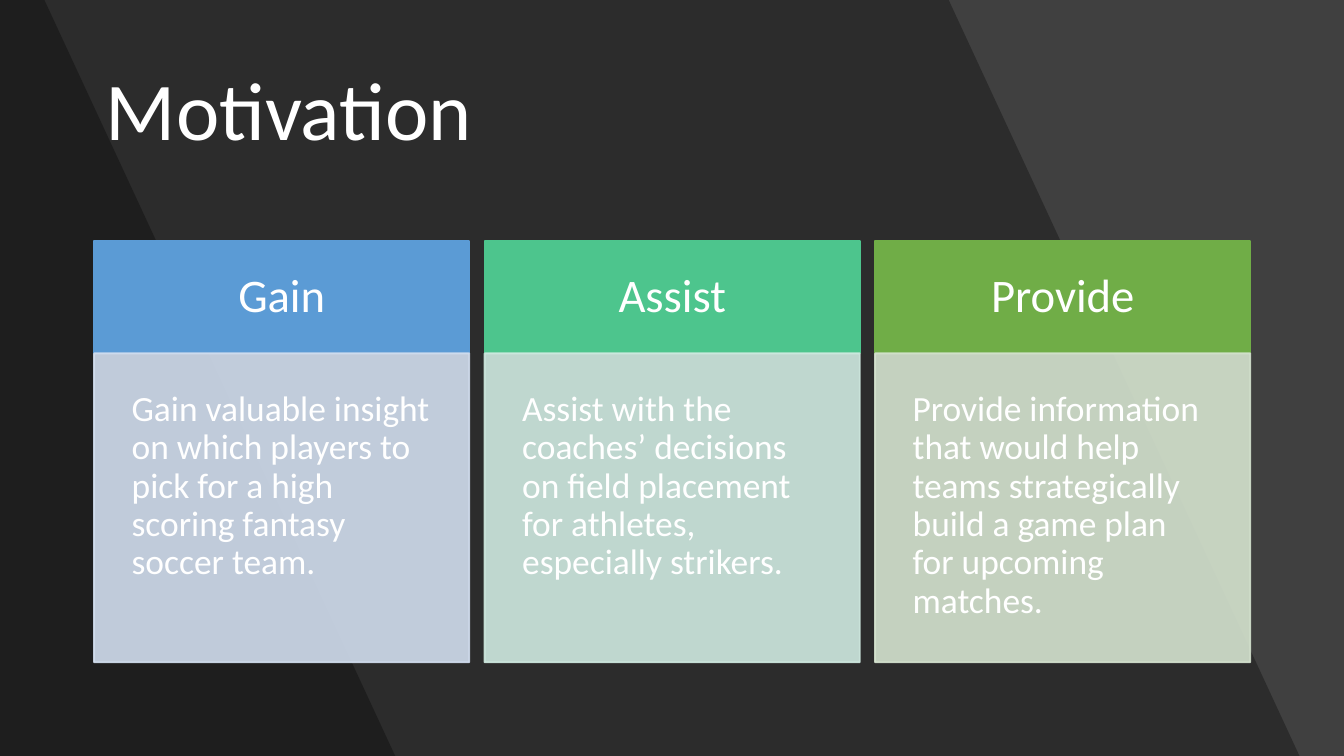
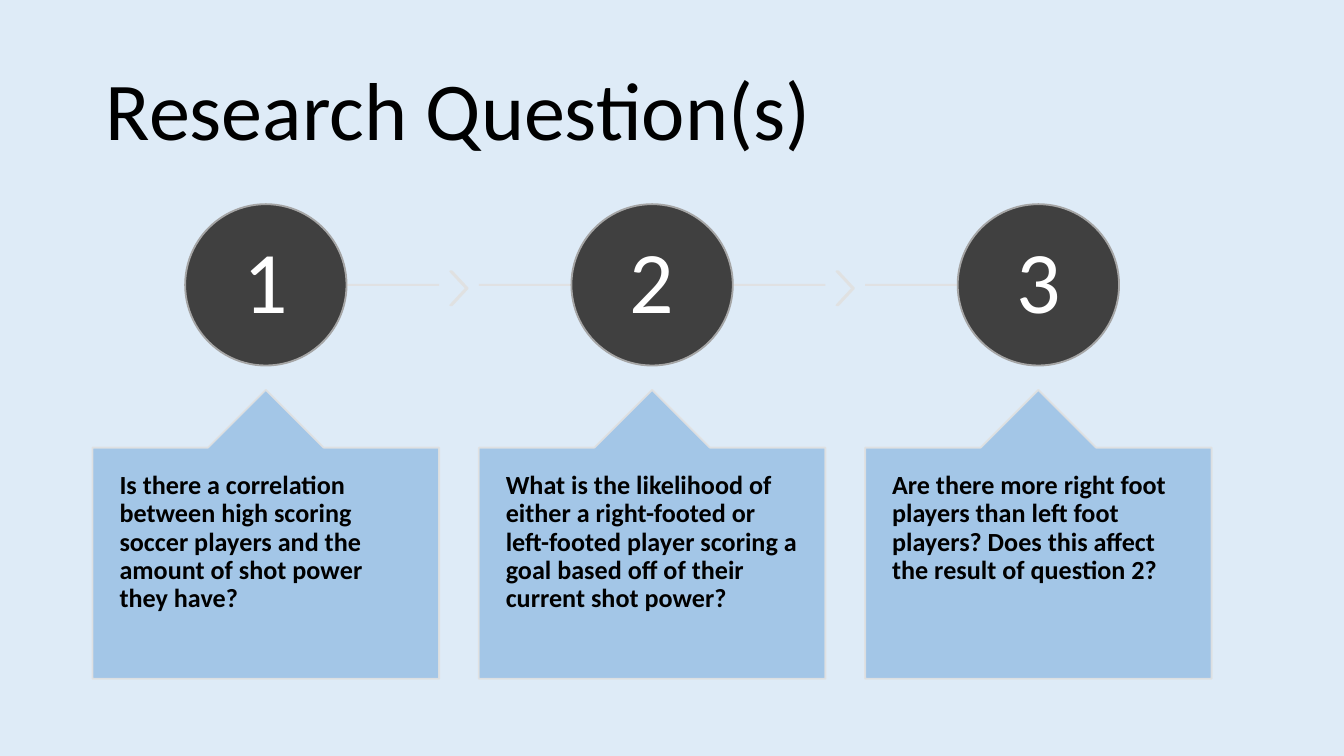
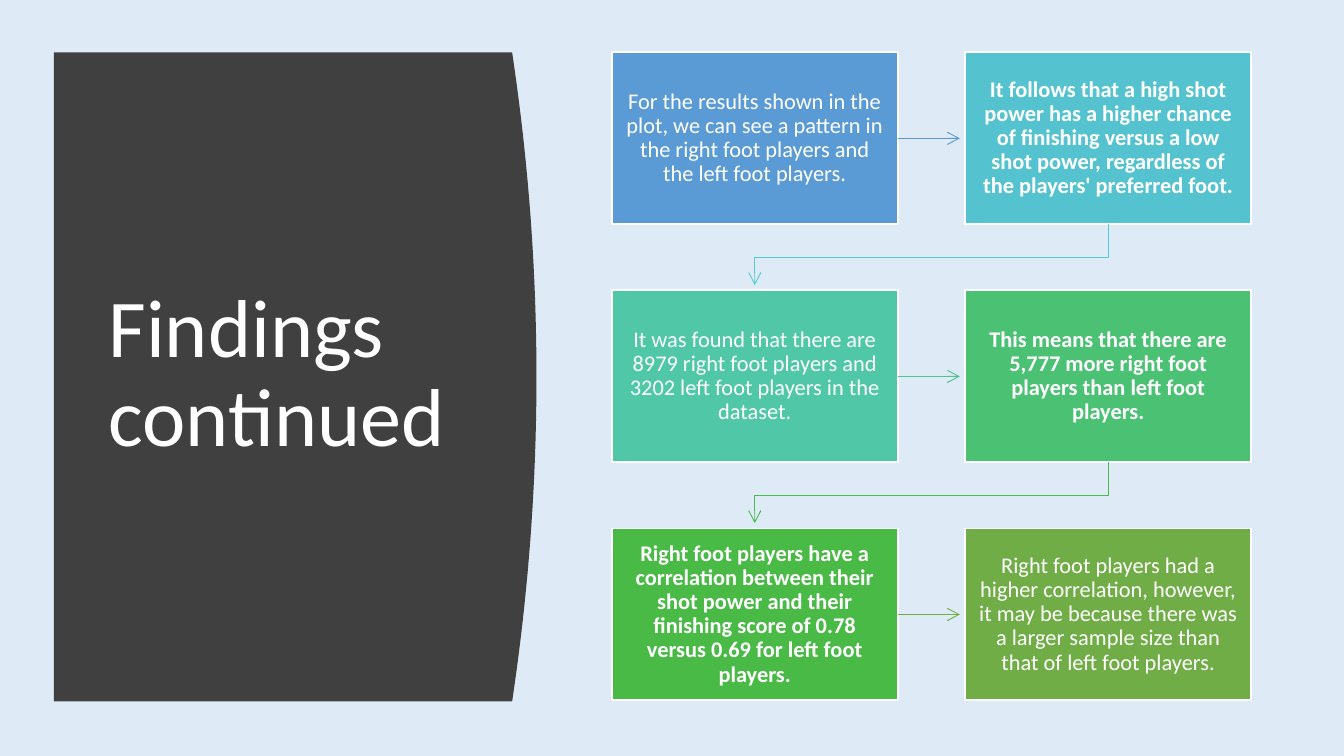
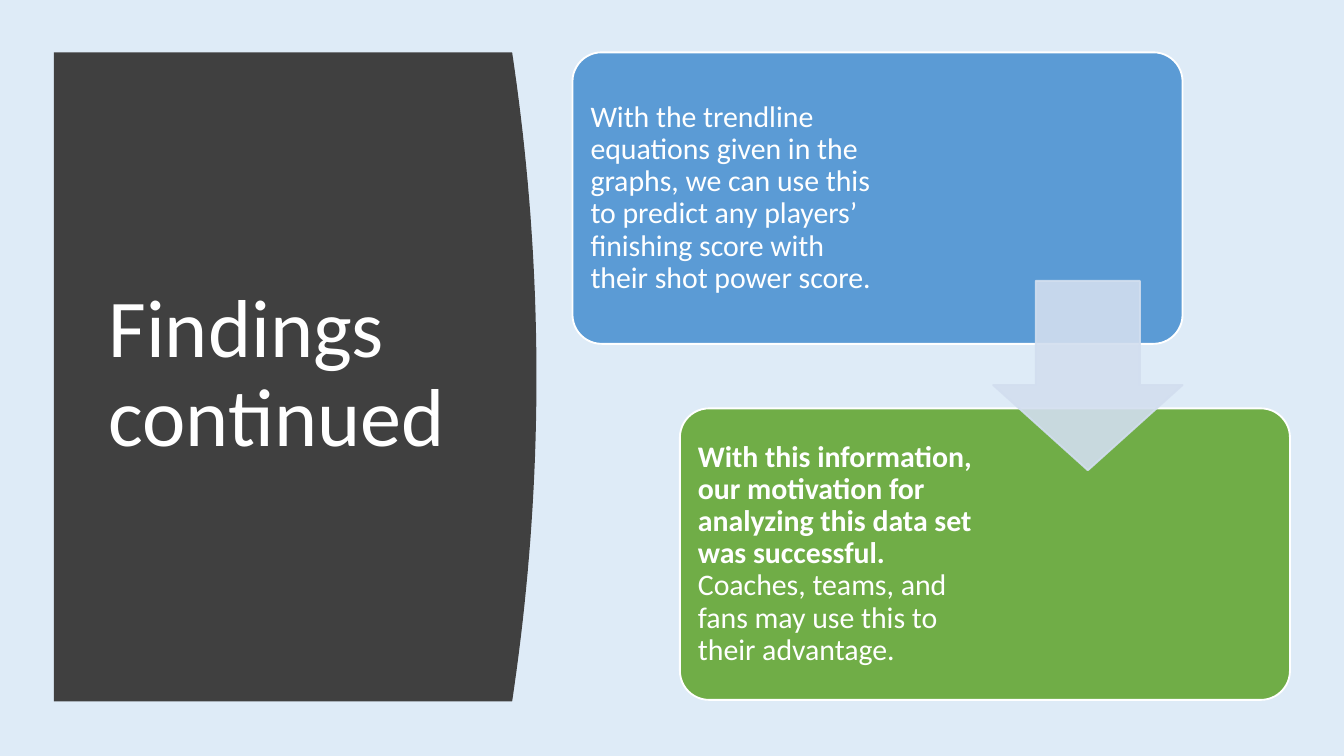
from dataclasses import dataclass

from lxml import etree
from pptx import Presentation
from pptx import util as u
from pptx.dml.color import RGBColor
from pptx.enum import shapes, text
from pptx.oxml.ns import qn

Cm, Pt = u.Cm, u.Pt
SHAPE = shapes.MSO_SHAPE
ANCHOR = text.MSO_ANCHOR
ALIGN = text.PP_ALIGN


@dataclass(frozen=True)
class Theme:
    font: str = "Calibri"
    white: str = "FFFFFF"
    black: str = "000000"
    dark: str = "404040"
    pale: str = "DEEBF7"
    blue: str = "5B9BD5"
    mint: str = "4DC58D"
    green: str = "70AD47"
    pale_blue: str = "D2DEEF"
    pale_mint: str = "D0EAE1"
    pale_green: str = "D5E3CF"
    callout: str = "9DC3E6"
    rule: str = "E1E1E1"
    circle_line: str = "A5A5A5"
    steps: tuple = ("5B9BD5", "55C3CF", "50C8A7", "4BC174", "4ABA46", "70AD47")
    arrows: tuple = ("5B9BD5", "54CCCD", "4DC58D", "48BB4F", "70AD47")
    title_size: float = 44
    number_size: float = 47
    header_size: float = 25
    card_size: float = 19
    box_size: float = 16
    question_size: float = 14
    step_size: float = 12
    line_spacing: float = 0.9


THEME = Theme()


@dataclass(frozen=True)
class Box:
    """A rectangle measured in centimetres."""
    left: float
    top: float
    width: float
    height: float

    @property
    def right(self):
        return self.left + self.width

    @property
    def bottom(self):
        return self.top + self.height

    @property
    def center(self):
        return self.left + self.width / 2

    @property
    def middle(self):
        return self.top + self.height / 2

    def lengths(self):
        return [Cm(value) for value in (self.left, self.top, self.width, self.height)]


PAGE = Box(0, 0, 25.4, 14.29)
TITLE_TOP = Box(1.75, 0.76, 21.92, 2.77)
TITLE_SIDE = Box(1.8, 2.11, 7.11, 9.98)
SIDE_PANEL = Box(1.02, 0.99, 8.66, 12.27)


def write(shape, content, size, color=THEME.white, bold=False, align=ALIGN.LEFT,
          anchor=ANCHOR.MIDDLE, insets=(0.25, 0.13, 0.25, 0.13)):
    """Fill a shape with one paragraph; content is a string or (string, bold) pairs."""
    frame = shape.text_frame
    frame.word_wrap = True
    frame.auto_size = text.MSO_AUTO_SIZE.NONE
    frame.vertical_anchor = anchor
    (frame.margin_left, frame.margin_top,
     frame.margin_right, frame.margin_bottom) = [Cm(inset) for inset in insets]
    paragraph = frame.paragraphs[0]
    paragraph.alignment = align
    paragraph.line_spacing = THEME.line_spacing
    runs = [(content, bold)] if isinstance(content, str) else content
    for words, is_bold in runs:
        run = paragraph.add_run()
        run.text = words
        run.font.name = THEME.font
        run.font.size = Pt(size)
        run.font.bold = is_bold
        run.font.color.rgb = RGBColor.from_string(color)


def set_opacity(shape, percent):
    for color in shape.element.spPr.iter(qn("a:srgbClr")):
        etree.SubElement(color, qn("a:alpha")).set("val", str(percent * 1000))


def paint(shape, fill=None, line=None, opacity=100, weight=1):
    shape.shadow.inherit = False
    if fill:
        shape.fill.solid()
        shape.fill.fore_color.rgb = RGBColor.from_string(fill)
    else:
        shape.fill.background()
    if line:
        shape.line.color.rgb = RGBColor.from_string(line)
        shape.line.width = Pt(weight)
    else:
        shape.line.fill.background()
    if opacity < 100:
        set_opacity(shape, opacity)


def add_box(slide, kind, box, fill, line, opacity=100, adjustments=()):
    shape = slide.shapes.add_shape(kind, *box.lengths())
    for index, value in enumerate(adjustments):
        shape.adjustments[index] = value
    paint(shape, fill, line, opacity)
    return shape


def add_outline(slide, points, close=True, **style):
    points = [(Cm(x), Cm(y)) for x, y in points]
    builder = slide.shapes.build_freeform(*points[0])
    builder.add_line_segments(points[1:], close=close)
    shape = builder.convert_to_shape()
    paint(shape, **style)
    return shape


def add_line(slide, start, end, color, weight=1, opacity=100):
    connector = slide.shapes.add_connector(
        shapes.MSO_CONNECTOR.STRAIGHT, *[Cm(value) for value in (*start, *end)])
    connector.line.color.rgb = RGBColor.from_string(color)
    connector.line.width = Pt(weight)
    if opacity < 100:
        set_opacity(connector, opacity)
    etree.SubElement(connector.element.spPr, qn("a:effectLst"))
    return connector


def add_arrowhead(shape):
    line = shape.element.spPr.find(qn("a:ln"))
    etree.SubElement(line, qn("a:tailEnd")).set("type", "arrow")


def new_slide(presentation, background):
    slide = presentation.slides.add_slide(presentation.slide_layouts[5])
    slide.background.fill.solid()
    slide.background.fill.fore_color.rgb = RGBColor.from_string(background)
    return slide


def place_title(slide, words, box, color):
    """Format the title placeholder and bring it in front of the backdrop."""
    title = slide.shapes.title
    title.left, title.top, title.width, title.height = box.lengths()
    write(title, words, THEME.title_size, color)
    title.element.getparent().append(title.element)


def draw_slanted_bands(slide, box, top_widths=(17.93, 0.84), slant=6.63):
    for width in top_widths:
        add_outline(slide, [(box.left, box.top), (box.left + width, box.top),
                            (box.left + width + slant, box.bottom),
                            (box.left, box.bottom)],
                    fill=THEME.black, opacity=30)


def draw_curved_panel(slide, box, bulge=0.46, steps=40):
    """Draw a panel whose right side bows outwards as a parabola."""
    curve = []
    for step in range(steps + 1):
        share = step / steps
        curve.append((box.right + bulge * 4 * share * (1 - share),
                      box.top + box.height * share))
    add_outline(slide, [(box.left, box.top), *curve, (box.left, box.bottom)],
                fill=THEME.dark)


def draw_card(slide, box, heading, body, color, pale_color, header_height=2.13):
    header = Box(box.left, box.top, box.width, header_height)
    panel = Box(box.left, header.bottom, box.width, box.height - header_height)
    shape = add_box(slide, SHAPE.RECTANGLE, header, color, color)
    write(shape, heading, THEME.header_size, align=ALIGN.CENTER, insets=[0.56] * 4)
    shape = add_box(slide, SHAPE.RECTANGLE, panel, pale_color, pale_color, opacity=90)
    write(shape, body, THEME.card_size, anchor=ANCHOR.TOP, insets=[0.71] * 4)


def draw_question(slide, box, number, question, is_first, is_last):
    """Draw a numbered circle on its timeline above a callout."""
    diameter = 3.05
    circle = Box(box.center - diameter / 2, box.top, diameter, diameter)
    callout = Box(box.left, box.top + 3.51, box.width, box.height - 3.51)
    add_line(slide, (box.center if is_first else box.left, circle.middle),
             (box.center if is_last else box.right, circle.middle),
             THEME.rule, opacity=90)
    if not is_last:
        chevron = Box(box.right + 0.21, box.top + 1.27, 0.33, 0.64)
        add_box(slide, SHAPE.CHEVRON, chevron, THEME.rule, THEME.rule, 90, [0.9])
    shape = add_box(slide, SHAPE.OVAL, circle, THEME.dark, THEME.circle_line)
    write(shape, str(number), THEME.number_size, align=ALIGN.CENTER, insets=[0.13] * 4)
    shape = add_box(slide, SHAPE.UP_ARROW_CALLOUT, callout, THEME.callout, THEME.rule,
                    90, [0.5, 0.2, 0.2, 1])
    write(shape, question, THEME.question_size, THEME.black, bold=True,
          anchor=ANCHOR.TOP, insets=(0.51, 0.46, 0.51, 0.46))


def draw_step_arrow(slide, source, target, source_shape, color, clearance=0.1):
    """Point from one step to the next, straight along a row or bent to a new row."""
    if source.top == target.top:
        arrow = add_line(slide, (source.right, source.middle),
                         (target.left - clearance, target.middle), color, weight=0.5)
        arrow.begin_connect(source_shape, 3)
    else:
        turn = (source.bottom + target.top) / 2
        arrow = add_outline(slide, [(source.center, source.bottom), (source.center, turn),
                                    (target.center, turn),
                                    (target.center, target.top - clearance)],
                            close=False, line=color, weight=0.5)
    add_arrowhead(arrow)


def draw_step_grid(slide, area, steps, columns=2, gap_x=1.27, gap_y=1.25):
    rows = len(steps) // columns
    width = (area.width - gap_x * (columns - 1)) / columns
    height = (area.height - gap_y * (rows - 1)) / rows
    boxes = [Box(area.left + index % columns * (width + gap_x),
                 area.top + index // columns * (height + gap_y), width, height)
             for index in range(len(steps))]
    step_shapes = []
    for box, (words, bold), color in zip(boxes, steps, THEME.steps):
        shape = add_box(slide, SHAPE.RECTANGLE, box, color, THEME.white)
        write(shape, words, THEME.step_size, bold=bold, align=ALIGN.CENTER,
              insets=(0.25, 0.28, 0.25, 0.28))
        step_shapes.append(shape)
    for source, target, shape, color in zip(boxes, boxes[1:], step_shapes, THEME.arrows):
        draw_step_arrow(slide, source, target, shape, color)


def draw_staircase(slide, area, stages, width=11.53, height=5.51, arrow_size=3.58):
    """Set two rounded boxes at opposite corners of the area, with an arrow between."""
    first = Box(area.left, area.top, width, height)
    second = Box(area.right - width, area.bottom - height, width, height)
    for box, (content, color, right_inset) in zip((first, second), stages):
        shape = add_box(slide, SHAPE.ROUNDED_RECTANGLE, box, color, THEME.white,
                        adjustments=[0.1])
        write(shape, content, THEME.box_size, insets=(0.18, 0.18, right_inset, 0.18))
    arrow = Box(first.right - arrow_size, first.top + 4.32, arrow_size, arrow_size)
    add_box(slide, SHAPE.DOWN_ARROW, arrow, THEME.pale_blue, THEME.pale_blue, 90,
            [0.55, 0.45])


def build_motivation(presentation):
    slide = new_slide(presentation, THEME.dark)
    draw_slanted_bands(slide, PAGE)
    place_title(slide, "Motivation", TITLE_TOP, THEME.white)
    cards = [
        ("Gain", "Gain valuable insight on which players to pick for a high scoring "
         "fantasy soccer team.", THEME.blue, THEME.pale_blue),
        ("Assist", "Assist with the coaches’ decisions on field placement for athletes, "
         "especially strikers.", THEME.mint, THEME.pale_mint),
        ("Provide", "Provide information that would help teams strategically build a "
         "game plan for upcoming matches.", THEME.green, THEME.pale_green),
    ]
    for index, card in enumerate(cards):
        draw_card(slide, Box(1.78 + index * 7.38, 4.55, 7.09, 7.97), *card)


def build_questions(presentation):
    slide = new_slide(presentation, THEME.pale)
    place_title(slide, "Research Question(s)", TITLE_TOP, THEME.black)
    questions = [
        "Is there a correlation between high scoring soccer players and the amount of "
        "shot power they have?",
        "What is the likelihood of either a right-footed or left-footed player scoring "
        "a goal based off of their current shot power?",
        "Are there more right foot players than left foot players? Does this affect the "
        "result of question 2?",
    ]
    for index, question in enumerate(questions):
        draw_question(slide, Box(1.75 + index * 7.3, 3.86, 6.55, 8.97), index + 1,
                      question, index == 0, index == len(questions) - 1)


def new_findings_slide(presentation):
    slide = new_slide(presentation, THEME.pale)
    draw_curved_panel(slide, SIDE_PANEL)
    place_title(slide, "Findings continued", TITLE_SIDE, THEME.white)
    return slide


def build_finding_steps(presentation):
    steps = [
        ("For the results shown in the plot, we can see a pattern in the right foot "
         "players and the left foot players.", False),
        ("It follows that a high shot power has a higher chance of finishing versus a "
         "low shot power, regardless of the players' preferred foot.", True),
        ("It was found that there are 8979 right foot players and 3202 left foot "
         "players in the dataset.", False),
        ("This means that there are 5,777 more right foot players than left foot "
         "players.", True),
        ("Right foot players have a correlation between their shot power and their "
         "finishing score of 0.78 versus 0.69 for left foot players.", True),
        ("Right foot players had a higher correlation, however, it may be because there "
         "was a larger sample size than that of left foot players.", False),
    ]
    draw_step_grid(new_findings_slide(presentation), Box(11.56, 0.99, 12.09, 12.25), steps)


def build_conclusion(presentation):
    stages = [
        ("With the trendline equations given in the graphs, we can use this to predict "
         "any players’ finishing score with their shot power score.", THEME.blue, 5.54),
        ([("With this information, our motivation for analyzing this data set was "
           "successful. ", True),
          ("Coaches, teams, and fans may use this to their advantage.", False)],
         THEME.green, 5.79),
    ]
    draw_staircase(new_findings_slide(presentation), Box(10.82, 0.99, 13.56, 12.24), stages)


def main():
    presentation = Presentation()
    presentation.slide_width = Cm(PAGE.width)
    presentation.slide_height = Cm(PAGE.height)
    for build in (build_motivation, build_questions, build_finding_steps,
                  build_conclusion):
        build(presentation)
    presentation.save("out.pptx")


if __name__ == "__main__":
    main()
